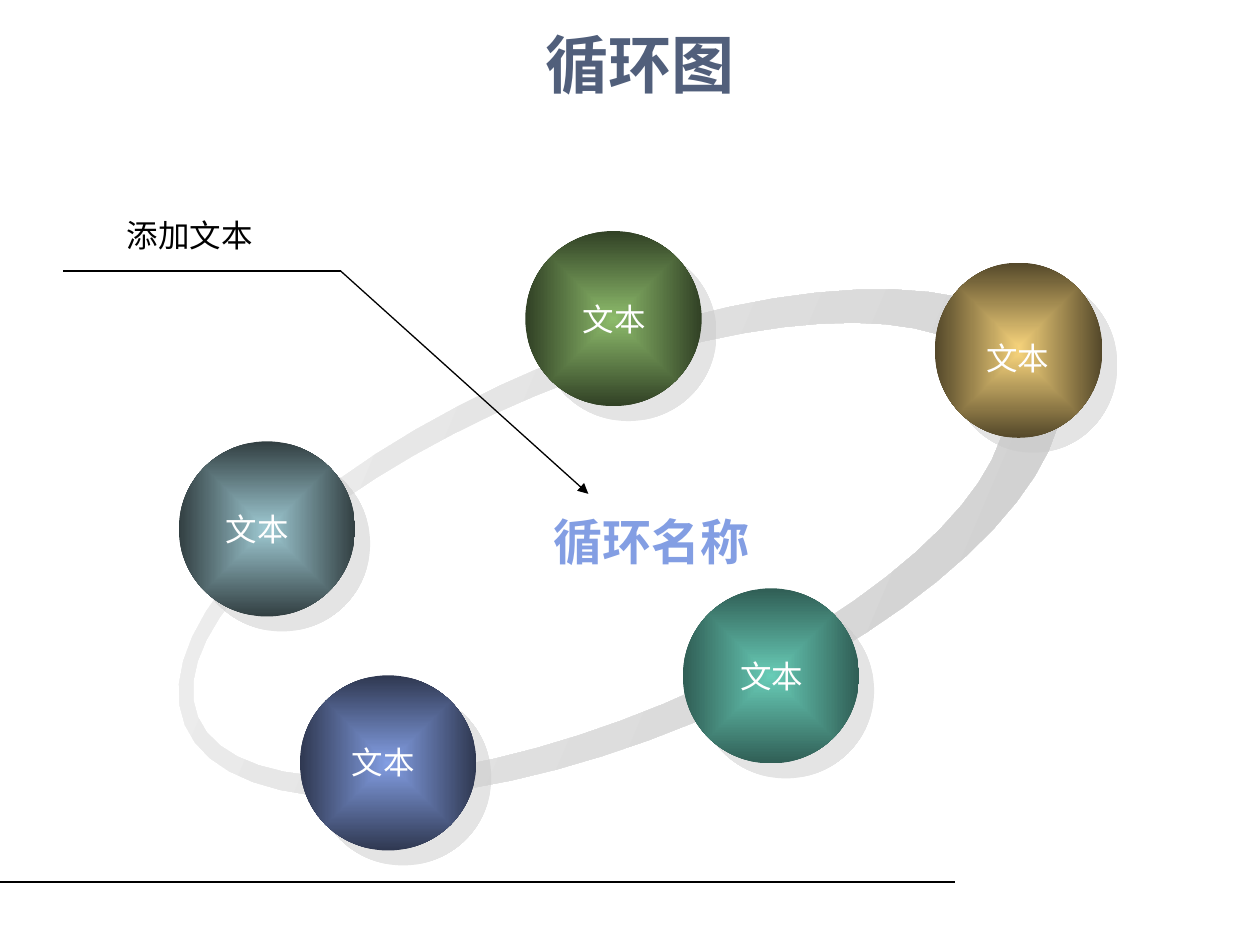
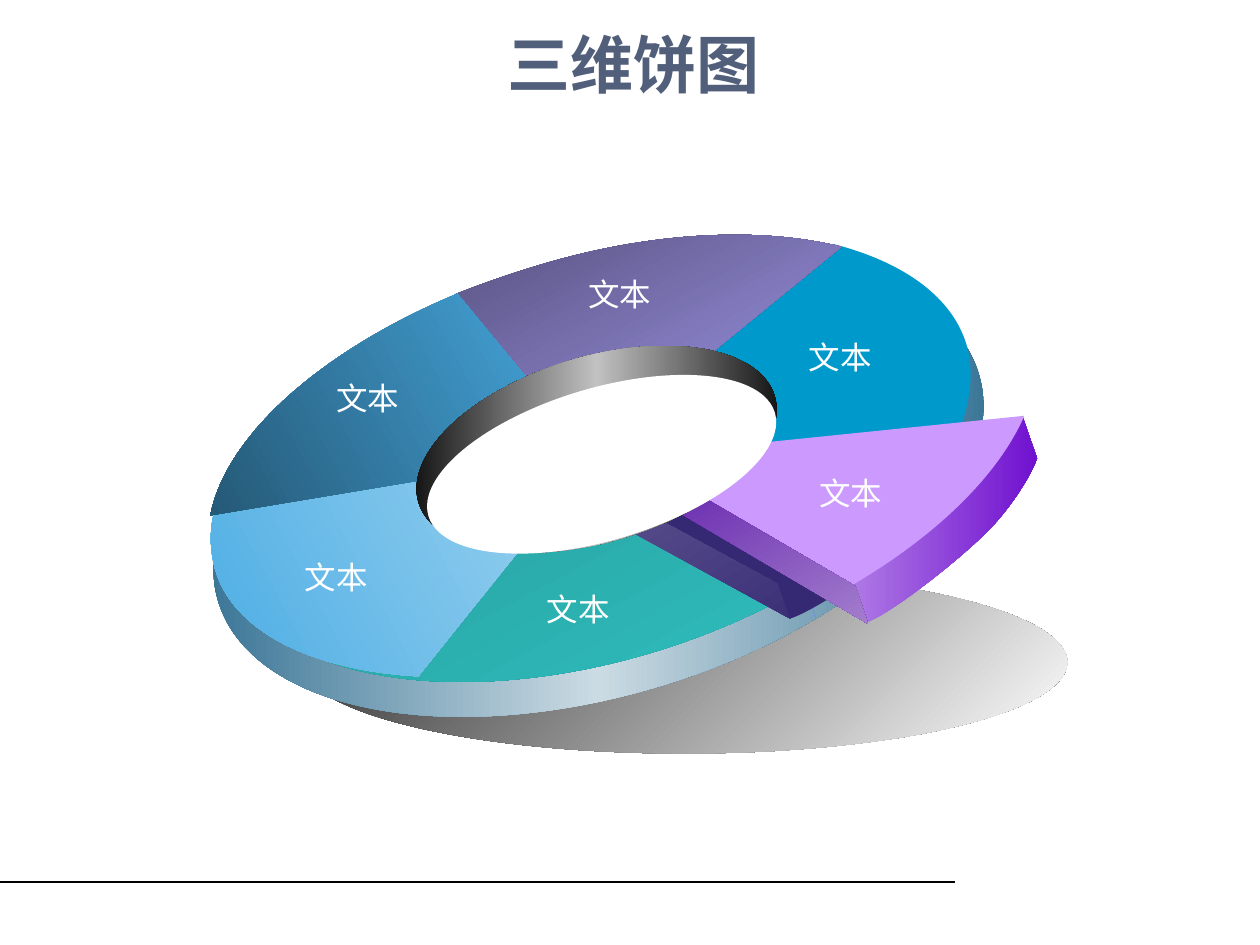
from dataclasses import dataclass
from math import cos, pi, radians, sin
from typing import Optional, Union

from lxml.etree import SubElement
from pptx import Presentation
from pptx.dml.color import RGBColor
from pptx.enum.shapes import MSO_CONNECTOR as Connector, MSO_SHAPE as Preset
from pptx.enum.text import MSO_ANCHOR as Anchor, MSO_AUTO_SIZE as AutoSize, PP_ALIGN as Align
from pptx.oxml.ns import qn
from pptx.util import Pt

Point = tuple[float, float]


@dataclass(frozen=True)
class Theme:
    """Colours, fonts and type sizes of the deck."""
    title: str = "515F7B"
    accent: str = "839EE3"
    ink: str = "000000"
    paper: str = "FFFFFF"
    shadow: str = "CACACA"
    night: str = "352973"
    heading_font: str = "Arial"
    label_font: str = "DejaVu Sans"
    title_size: float = 36
    name_size: float = 28
    label_size: float = 18
    rule_width: float = 0.74
    edge_width: float = 0.51


@dataclass(frozen=True)
class Gradient:
    """Evenly spaced colours, along an angle or out from the centre."""
    colors: tuple[str, ...]
    angle: Optional[float] = 0


Paint = Union[str, Gradient]
TILT = 343.4
DARK_TILT = 345.2
RING_TILT = 337.4
THEME = Theme()


@dataclass(frozen=True)
class Oval:
    """An ellipse by its unrotated box."""
    left: float
    top: float
    width: float
    height: float
    paint: Paint
    rotation: float = 0
    shadow: bool = False


@dataclass(frozen=True)
class Outline:
    """A start point, then line steps (x, y) or curve steps of three points."""
    start: Point
    steps: tuple[tuple[float, ...], ...]
    paint: Paint
    rotation: float = TILT


@dataclass(frozen=True)
class Label:
    """A text box with one run."""
    text: str
    left: float
    top: float
    width: float
    height: float
    size: float
    font: str
    color: str
    bold: bool = False
    centered: bool = False


def apply_paint(shape, paint: Paint) -> None:
    """Fill a shape with a colour or gradient and drop its line and shadow."""
    shape.shadow.inherit = False
    shape.line.fill.background()
    if isinstance(paint, str):
        shape.fill.solid()
        shape.fill.fore_color.rgb = RGBColor.from_string(paint)
        return
    shape.fill.gradient()
    gradient = shape._element.spPr.find(qn("a:gradFill"))
    for child in list(gradient):
        gradient.remove(child)
    gradient.set("rotWithShape", "0")
    stops = SubElement(gradient, qn("a:gsLst"))
    for index, color in enumerate(paint.colors):
        position = round(100000 * index / (len(paint.colors) - 1))
        stop = SubElement(stops, qn("a:gs"), pos=str(position))
        SubElement(stop, qn("a:srgbClr"), val=color)
    if paint.angle is None:
        path = SubElement(gradient, qn("a:path"), path="rect")
        SubElement(path, qn("a:fillToRect"), l="50000", t="50000", r="50000", b="50000")
    else:
        SubElement(gradient, qn("a:lin"), ang=str(round(paint.angle * 60000)), scaled="0")


def draw_oval(slide, oval: Oval) -> None:
    """Draw an ellipse, with a hard offset shadow if asked."""
    shape = slide.shapes.add_shape(
        Preset.OVAL, Pt(oval.left), Pt(oval.top), Pt(oval.width), Pt(oval.height))
    shape.rotation = oval.rotation
    apply_paint(shape, oval.paint)
    if oval.shadow:
        effects = shape._element.spPr.find(qn("a:effectLst"))
        shadow = SubElement(effects, qn("a:outerShdw"), blurRad="0", dist=str(Pt(12.1)),
                            dir="2700000", algn="ctr", rotWithShape="0")
        color = SubElement(shadow, qn("a:srgbClr"), val=THEME.shadow)
        SubElement(color, qn("a:alpha"), val="50000")


def rotate(point: Point, angle: float) -> Point:
    """Turn a point around the origin."""
    turn = radians(angle)
    x, y = point
    return x * cos(turn) - y * sin(turn), x * sin(turn) + y * cos(turn)


def draw_contours(slide, contours: list[list[Point]], rotation: float, close: bool = True):
    """Build a rotated freeform whose points land on the given places."""
    level = [[rotate(point, -rotation) for point in contour] for contour in contours]
    scaled = [[(Pt(x), Pt(y)) for x, y in contour] for contour in level]
    builder = slide.shapes.build_freeform(*scaled[0][0], scale=1.0)
    for index, contour in enumerate(scaled):
        if index:
            builder.move_to(*contour[0])
        builder.add_line_segments(contour[1:], close=close)
    shape = builder.convert_to_shape()
    middle = (shape.left + shape.width / 2, shape.top + shape.height / 2)
    x, y = rotate(middle, rotation)
    shape.left, shape.top = round(x - shape.width / 2), round(y - shape.height / 2)
    shape.rotation = rotation
    return shape


def ellipse_points(center: Point, radii: Point, angle: float, count: int = 60) -> list[Point]:
    """Points around a rotated ellipse."""
    points = []
    for index in range(count):
        turn = 2 * pi * index / count
        x, y = rotate((radii[0] * cos(turn), radii[1] * sin(turn)), angle)
        points.append((center[0] + x, center[1] + y))
    return points


def draw_outline(slide, outline: Outline) -> None:
    """Draw a filled outline, joining the points of each curve step."""
    points = [outline.start]
    for step in outline.steps:
        points.extend(zip(step[::2], step[1::2]))
    shape = draw_contours(slide, [points], outline.rotation)
    segments = list(shape._element.iter(qn("a:lnTo")))
    for step in outline.steps:
        count = len(step) // 2
        group, segments = segments[:count], segments[count:]
        if count == 3:
            curve = SubElement(group[0].getparent(), qn("a:cubicBezTo"))
            group[0].addprevious(curve)
            for segment in group:
                curve.append(segment[0])
                segment.getparent().remove(segment)
    apply_paint(shape, outline.paint)


def draw_edge(slide, points: list[Point], color: str) -> None:
    """Draw a thin open polyline."""
    shape = draw_contours(slide, [points], TILT, close=False)
    shape.shadow.inherit = False
    shape.fill.background()
    shape.line.color.rgb = RGBColor.from_string(color)
    shape.line.width = Pt(THEME.edge_width)


def draw_line(slide, start: Point, end: Point, arrow: bool = False):
    """Draw a thin straight connector."""
    line = slide.shapes.add_connector(
        Connector.STRAIGHT, Pt(start[0]), Pt(start[1]), Pt(end[0]), Pt(end[1]))
    line.line.color.rgb = RGBColor.from_string(THEME.ink)
    line.line.width = Pt(THEME.rule_width)
    if arrow:
        SubElement(line._element.spPr.find(qn("a:ln")), qn("a:tailEnd"), type="triangle")
    SubElement(line._element.spPr, qn("a:effectLst"))
    return line


def add_run(paragraph, text: str, size: float, font: str, color: str, bold: bool) -> None:
    """Add one formatted run."""
    run = paragraph.add_run()
    run.text = text
    run.font.size = Pt(size)
    run.font.name = font
    run.font.bold = bold
    run.font.color.rgb = RGBColor.from_string(color)


def draw_label(slide, label: Label) -> None:
    """Draw a text box; only centred ones wrap."""
    box = slide.shapes.add_textbox(
        Pt(label.left), Pt(label.top), Pt(label.width), Pt(label.height))
    frame = box.text_frame
    frame.word_wrap = label.centered
    frame.auto_size = AutoSize.SHAPE_TO_FIT_TEXT
    paragraph = frame.paragraphs[0]
    paragraph.alignment = Align.CENTER if label.centered else Align.LEFT
    add_run(paragraph, label.text, label.size, label.font, label.color, label.bold)


def draw_item_labels(slide, places: list[Point], font: str) -> None:
    """Draw the white label of each item."""
    for left, top in places:
        draw_label(slide, Label("文本", left, top, 50.4, 28.8, THEME.label_size, font, THEME.paper))


def start_slide(presentation, title: str):
    """Add a title-only slide with the shared title style."""
    slide = presentation.slides.add_slide(presentation.slide_layouts[5])
    shape = slide.shapes.title
    shape.left, shape.top, shape.width, shape.height = Pt(36), Pt(18), Pt(651.6), Pt(36)
    frame = shape.text_frame
    frame.vertical_anchor = Anchor.MIDDLE
    frame.auto_size = AutoSize.NONE
    paragraph = frame.paragraphs[0]
    paragraph.alignment = Align.CENTER
    add_run(paragraph, title, THEME.title_size, THEME.heading_font, THEME.title, True)
    return slide


def build_cycle(presentation):
    """Build the cycle of five balls on a tilted ring."""
    slide = start_slide(presentation, "\u00a0循环图")
    ring = draw_contours(slide, [
        ellipse_points((354.6, 310.7), (269.6, 110.5), RING_TILT),
        ellipse_points((342.4, 314.3), (248.4, 95.4), RING_TILT)[::-1]], RING_TILT)
    apply_paint(ring, Gradient(("F4F4F4", "CACACA"), 23))
    for left, top, width, light, dark in (
            (300.2, 132, 100.8, "8DBB6B", "314125"),
            (102.2, 252.2, 100.8, "9FCAD3", "323F42"),
            (171.4, 385.9, 100.8, THEME.accent, "2F3851"),
            (390.2, 336.2, 100.8, "68CCB7", "305E55"),
            (534.2, 150.1, 95.8, "F4D17A", "54482A")):
        draw_oval(slide, Oval(left, top, width, 100.1, Gradient((light, dark), None), shadow=True))
    draw_item_labels(slide, [(121.8, 288), (326, 167.8), (556.6, 190.1),
                             (416, 372.2), (193.8, 421.2)], THEME.label_font)
    draw_label(slide, Label("循环名称", 270.2, 288.7, 203.8, 41, THEME.name_size,
                            THEME.heading_font, THEME.accent, True, True))
    draw_line(slide, (194.6, 154.8), (336.2, 282.2), arrow=True)
    draw_line(slide, (195.1, 154.8), (36, 154.8))
    draw_label(slide, Label("添加文本", 65.5, 120.2, 86.4, 28.8, THEME.label_size,
                            THEME.label_font, THEME.ink))
    return slide


def build_pie(presentation) -> None:
    """Build the tilted ring pie with one slice pulled out."""
    slide = start_slide(presentation, "三维饼图")
    for oval in (
            Oval(172.1, 326.2, 437.8, 104.4, Gradient(("292929", "FFFFFF"), 45)),
            Oval(115.2, 159.8, 453.6, 237.6, Gradient(("29698D", "CBDBE3", "29698D")), TILT),
            Oval(119.5, 147.6, 438.5, 230.4, Gradient(("208282", "33CCCC"), 62), TILT)):
        draw_oval(slide, oval)
    for outline in (
            Outline((548, 246), ((535, 278, 502.5, 309.5, 458, 335.5), (335.5, 263.5)), "D9AF13"),
            Outline((476.5, 139.5), ((517, 150, 544.5, 170, 552.5, 197.5),
                    (556.5, 211.5, 555, 228, 548.5, 245), (337.5, 261.5)), "0099CC"),
            Outline((124, 287.5), ((119.5, 300, 119.5, 313, 123, 325.5),
                    (133, 360, 176.5, 383, 239, 386.5), (340, 260.5)),
                    Gradient(("ABD9F2", "47ABE3"), 152)),
            Outline((260, 168.2), ((275, 162.3, 290, 157, 305.5, 152.3),
                    (368.5, 132.8, 432.5, 129, 481, 141), (337, 258.5)),
                    Gradient(("4F4A73", "AAA0F8"), 62)),
            Outline((261.4, 167.8), ((183.6, 200.2, 128.9, 249.1, 120.2, 294.5), (336.2, 258.5)),
                    Gradient(("47ABE3", "214F69"), 152))):
        draw_outline(slide, outline)
    draw_edge(slide, [(466, 353), (461, 335.5), (340, 268)], "6A93DE")
    draw_edge(slide, [(553, 265), (546.5, 249), (341.5, 261.5)], THEME.ink)
    for outline in (
            Outline((550, 247.5), ((533, 278, 495.5, 309, 444, 334), (314, 265)),
                    THEME.night, DARK_TILT),
            Outline((445, 334), ((451.5, 353.5), (323.5, 283.5), (316, 264)),
                    Gradient(("6A6198", THEME.night), 60), DARK_TILT),
            Outline((444, 332), ((549.5, 247.5), (556, 268.5), (551, 279.5, 536.5, 297.5, 518.5, 311),
                    (501, 325.5, 463.5, 350, 451.5, 353.5)), THEME.night, DARK_TILT),
            Outline((486, 332), ((584.6, 239), (592.6, 262), (588.2, 273.6, 575.5, 294, 558.7, 309),
                    (542, 324.7, 507, 352, 494.6, 355.7)), Gradient(("B98BE8", "6600CC"))),
            Outline((585.4, 237.6), ((571, 270.7, 536.4, 305.3, 487.4, 334.1), (352.8, 261.4)),
                    "CC99FF", 342.3),
            Outline((489, 335), ((496, 356.5), (366, 280), (358, 258.5)),
                    Gradient(("5007A1", "AF8ED4"), 62))):
        draw_outline(slide, outline)
    draw_oval(slide, Oval(234.7, 203.8, 212.4, 105.8,
                          Gradient((THEME.ink, "C1C1C1", THEME.ink)), TILT))
    draw_oval(slide, Oval(240.5, 221.8, 206.6, 87, THEME.paper, TILT))
    draw_item_labels(slide, [(455, 189.4), (329, 153.4), (185, 213.3),
                             (167, 315.4), (305.3, 333.4), (461, 267.1)], THEME.heading_font)


def main() -> None:
    """Build the deck, put the footer rule on the master, and save."""
    presentation = Presentation()
    presentation.slide_width, presentation.slide_height = Pt(720), Pt(540)
    cycle = build_cycle(presentation)
    build_pie(presentation)
    rule = draw_line(cycle, (0, 504), (545.8, 504))
    presentation.slide_master.shapes._spTree.append(rule._element)
    presentation.save("out.pptx")


main()
